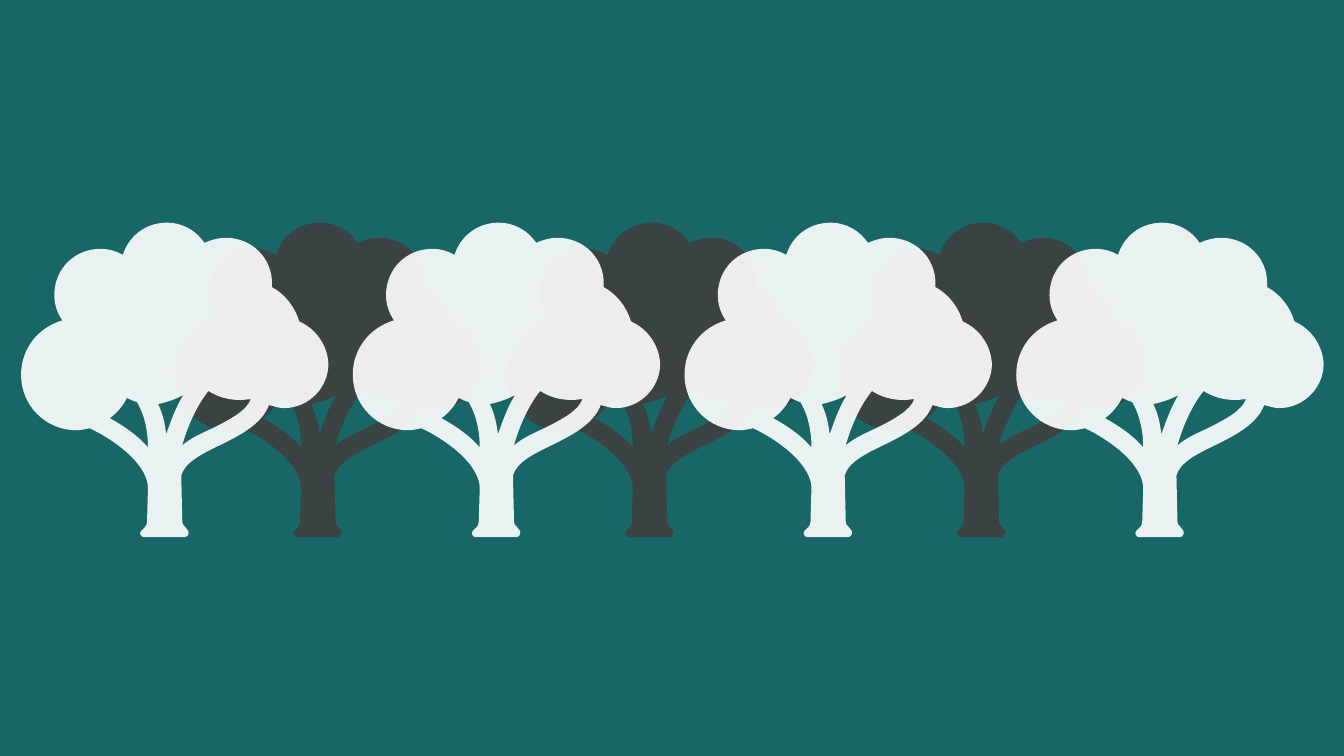
from lxml.etree import SubElement
from pptx import Presentation
from pptx.dml.color import RGBColor
from pptx.oxml.ns import qn
from pptx.util import Cm

UNIT = Cm(0.0254)
TREE_WIDTH, TREE_HEIGHT = 305, 312

# Each contour: a start point, then lines (x, y) and cubic curves (x1, y1, x2, y2, x, y).
TREE = [
    [(105, 174), (101, 182, 95, 189, 88, 194), (99, 200, 115, 210, 126, 223),
     (126, 211, 124, 193, 115, 178), (111, 177, 108, 175, 105, 174)],
    [(161, 171), (154, 175, 145, 178, 136, 180), (141, 190, 143, 201, 144, 210),
     (148, 199, 153, 184, 161, 171)],
    [(186, 167), (173, 183, 164, 206, 160, 221), (168, 214, 179, 209, 190, 204),
     (210, 194, 224, 186, 228, 175), (225, 175, 222, 176, 218, 176),
     (206, 176, 195, 173, 186, 167)],
    [(145, 0), (160, 0, 174, 8, 182, 20), (189, 17, 196, 15, 203, 15),
     (229, 15, 249, 35, 249, 60), (249, 64),
     (262, 71, 272, 84, 276, 98), (292, 105, 304, 121, 305, 140),
     (305, 164, 285, 184, 261, 184), (255, 184, 251, 182, 246, 181),
     (239, 200, 217, 211, 199, 220), (180, 229, 162, 238, 159, 251),
     (159, 252), (160, 297), (160, 299, 161, 300, 163, 302), (166, 306),
     (167, 309, 165, 312, 162, 312), (122, 312),
     (119, 312, 117, 308, 119, 306), (123, 302),
     (124, 301, 125, 299, 125, 297), (126, 262),
     (124, 236, 86, 212, 68, 204), (63, 205, 59, 206, 55, 206),
     (24, 206, 0, 181, 0, 151), (0, 125, 17, 104, 41, 97),
     (36, 90, 33, 81, 33, 72), (33, 46, 53, 26, 79, 26),
     (87, 26, 94, 28, 101, 32), (107, 13, 124, 0, 145, 0)],
]


def color(hex_code):
    return RGBColor.from_string(hex_code)


def add_segment(outline, tag, coordinates):
    segment = SubElement(outline, qn(tag))
    for x, y in zip(coordinates[::2], coordinates[1::2]):
        SubElement(segment, qn("a:pt"), x=str(x), y=str(y))


def draw_contours(outline, contours):
    """Replace the segments of a freeform outline with true lines and curves."""
    for segment in list(outline):
        outline.remove(segment)
    for start, *segments in contours:
        add_segment(outline, "a:moveTo", start)
        for segment in segments:
            tag = "a:lnTo" if len(segment) == 2 else "a:cubicBezTo"
            add_segment(outline, tag, segment)
        SubElement(outline, qn("a:close"))


class Grove:
    background = "196666"
    opacity = 91
    top = Cm(5.61)
    spacing = Cm(8.36)

    def __init__(self, slide):
        self.slide = slide
        slide.background.fill.solid()
        slide.background.fill.fore_color.rgb = color(self.background)

    def tree(self, left, foliage):
        builder = self.slide.shapes.build_freeform(0, 0, scale=UNIT)
        builder.add_line_segments([(TREE_WIDTH, 0), (TREE_WIDTH, TREE_HEIGHT), (0, TREE_HEIGHT)])
        tree = builder.convert_to_shape(left, self.top)
        properties = tree.element.spPr
        draw_contours(next(properties.iter(qn("a:path"))), TREE)
        tree.shadow.inherit = False
        tree.line.fill.background()
        tree.fill.solid()
        tree.fill.fore_color.rgb = color(foliage)
        tint = properties.find(qn("a:solidFill"))[0]
        SubElement(tint, qn("a:alpha"), val=str(self.opacity * 1000))

    def row(self, left, count, foliage):
        for index in range(count):
            self.tree(left + index * self.spacing, foliage)


def main():
    presentation = Presentation()
    page = {"slide_width": Cm(33.87), "slide_height": Cm(19.05)}
    for name, value in page.items():
        setattr(presentation, name, value)
    grove = Grove(presentation.slides.add_slide(presentation.slide_layouts[6]))
    grove.row(Cm(4.39), 3, "3F3F3F")
    grove.row(Cm(0.53), 4, "FFFFFF")
    presentation.save("out.pptx")


if __name__ == "__main__":
    main()
